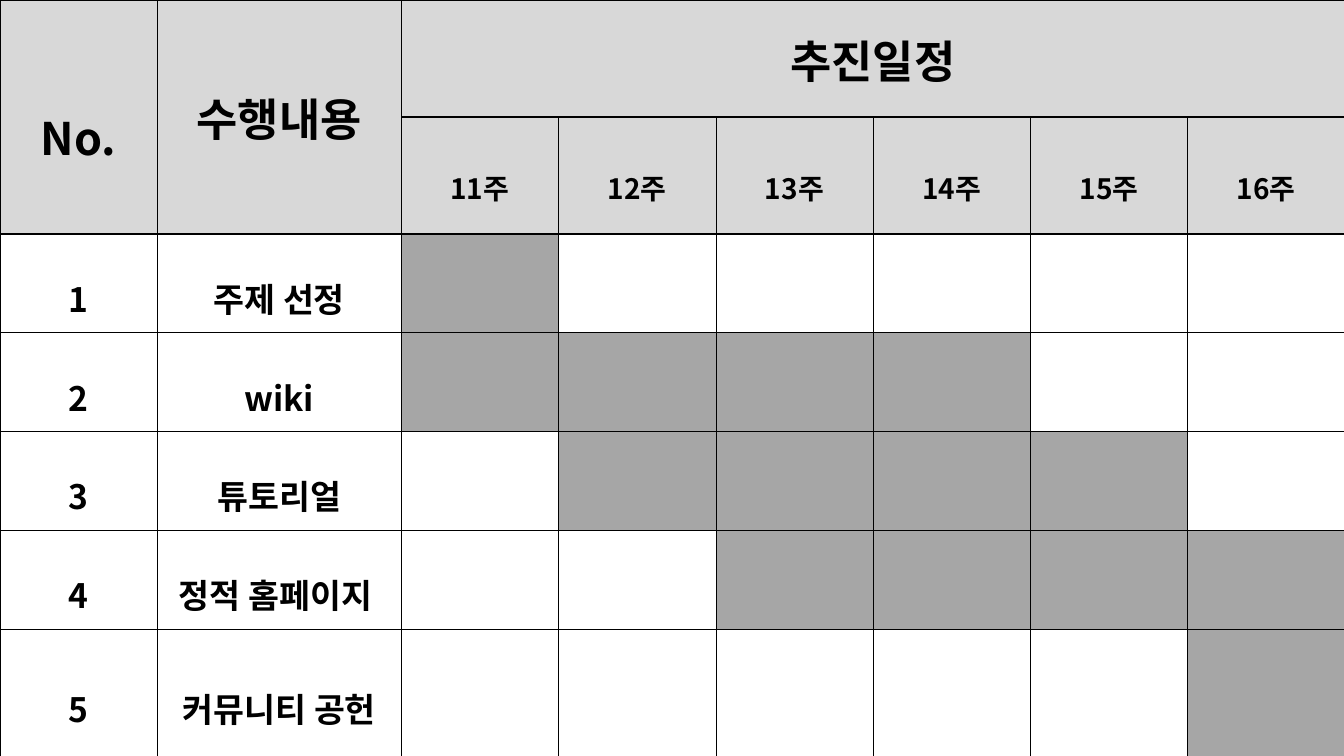
from lxml import etree
from pptx import Presentation
from pptx.dml.color import RGBColor
from pptx.enum.text import MSO_ANCHOR, PP_ALIGN
from pptx.oxml.ns import qn
from pptx.util import Inches, Pt

CENTER = PP_ALIGN.CENTER
MIDDLE = MSO_ANCHOR.MIDDLE
FONT = "Noto Sans CJK KR"
HEADER, BUSY, FREE, INK = "D8D8D8", "A6A6A6", "FFFFFF", "000000"
THICK, THIN = 1.41, 0.28
COL_WIDTHS = [1.56, 2.42] + [1.56] * 6
ROW_HEIGHTS = [1.16] * 2 + [0.98] * 4 + [1.27]
FIRST_WEEK = 11
TASKS = [
    ("주제 선정", 11, 11),
    ("wiki", 11, 14),
    ("튜토리얼", 12, 15),
    ("정적 홈페이지 ", 13, 16),
    ("커뮤니티 공헌", 16, 16),
]


def write(cell, text, size=24, spacing=1.6):
    p = cell.text_frame.paragraphs[0]
    p.alignment = CENTER
    if spacing:
        p.line_spacing = spacing
    r = p.add_run()
    r.text = text
    r.font.size = Pt(size)
    r.font.bold = True
    r.font.color.rgb = RGBColor.from_string(INK)
    r.font.name = FONT
    etree.SubElement(r._r.get_or_add_rPr(), qn("a:ea"), typeface=FONT)


def style(cell, fill, **borders):
    cell.vertical_anchor = MIDDLE
    cell.margin_left = cell.margin_right = Inches(0.02)
    cell.margin_top = cell.margin_bottom = Inches(0.02)
    tcPr = cell._tc.get_or_add_tcPr()
    for side, width in borders.items():
        ln = etree.SubElement(tcPr, qn("a:ln" + side), w=str(Pt(width)))
        solid = etree.SubElement(ln, qn("a:solidFill"))
        etree.SubElement(solid, qn("a:srgbClr"), val=INK)
    cell.fill.solid()
    cell.fill.fore_color.rgb = RGBColor.from_string(fill)


prs = Presentation()
prs.slide_width = Inches(13.33)
prs.slide_height = Inches(7.5)
s = prs.slides.add_slide(prs.slide_layouts[6])

n_rows, n_cols = len(ROW_HEIGHTS), len(COL_WIDTHS)
table = s.shapes.add_table(
    n_rows, n_cols, 0, 0, prs.slide_width, prs.slide_height
).table
table.first_row = table.horz_banding = False
for column, width in zip(table.columns, COL_WIDTHS):
    column.width = Inches(width)
for row, height in zip(table.rows, ROW_HEIGHTS):
    row.height = Inches(height)

for i in range(n_rows):
    for j in range(n_cols):
        fill = FREE
        if i < 2:
            fill = HEADER
        elif j >= 2:
            name, start, end = TASKS[i - 2]
            if start <= FIRST_WEEK + j - 2 <= end:
                fill = BUSY
        style(
            table.cell(i, j),
            fill,
            L=THICK if j == 0 else THIN,
            R=THIN,
            T=THICK if i <= 2 else THIN,
            B=THICK if i <= 1 or i == n_rows - 1 else THIN,
        )

table.cell(0, 0).merge(table.cell(1, 0))
table.cell(0, 1).merge(table.cell(1, 1))
table.cell(0, 2).merge(table.cell(0, n_cols - 1))
write(table.cell(0, 0), "No.", size=32)
write(table.cell(0, 1), "수행내용", size=32, spacing=None)
write(table.cell(0, 2), "추진일정", size=32, spacing=None)
for j in range(2, n_cols):
    write(table.cell(1, j), f"{FIRST_WEEK + j - 2}주", size=20)
for number, (name, start, end) in enumerate(TASKS, 1):
    write(table.cell(number + 1, 0), str(number))
    write(table.cell(number + 1, 1), name)

prs.save("out.pptx")
